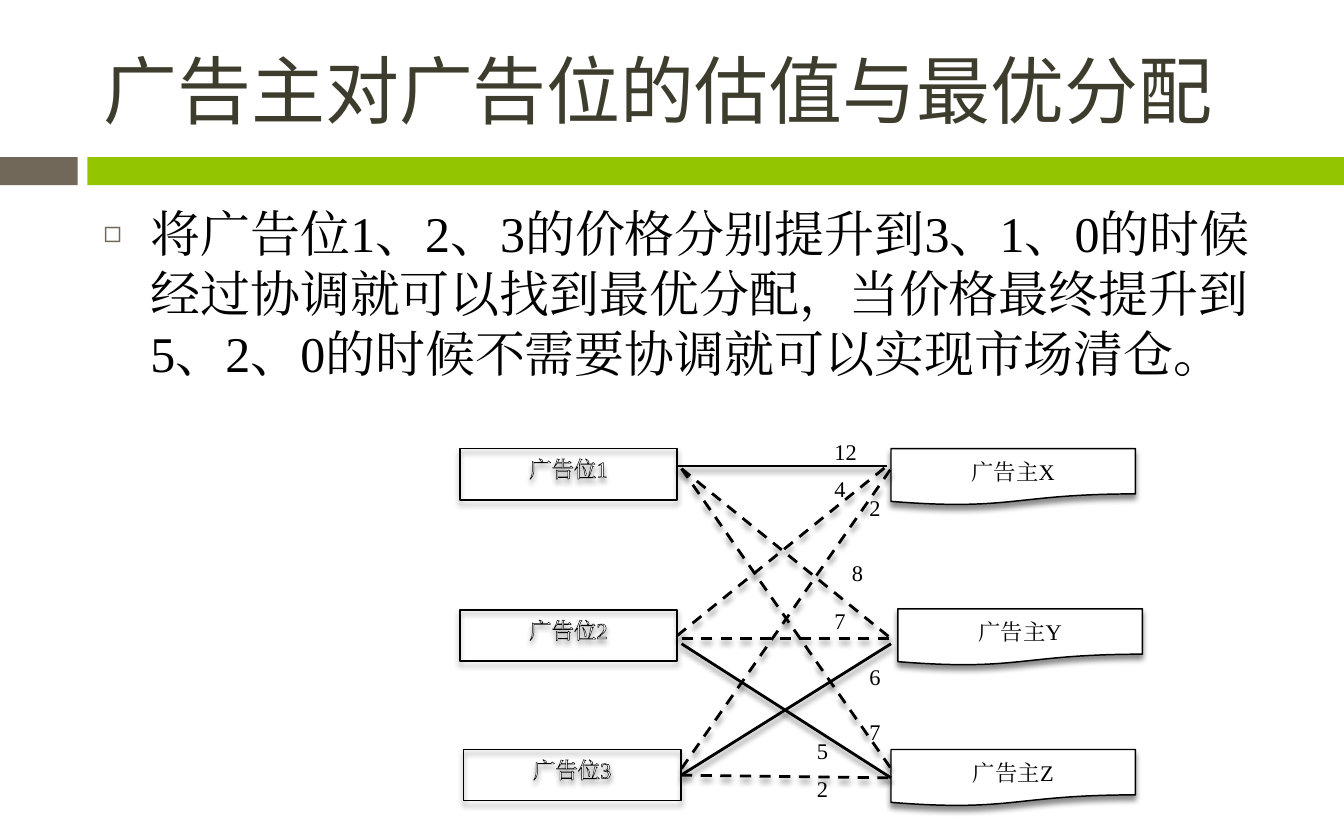
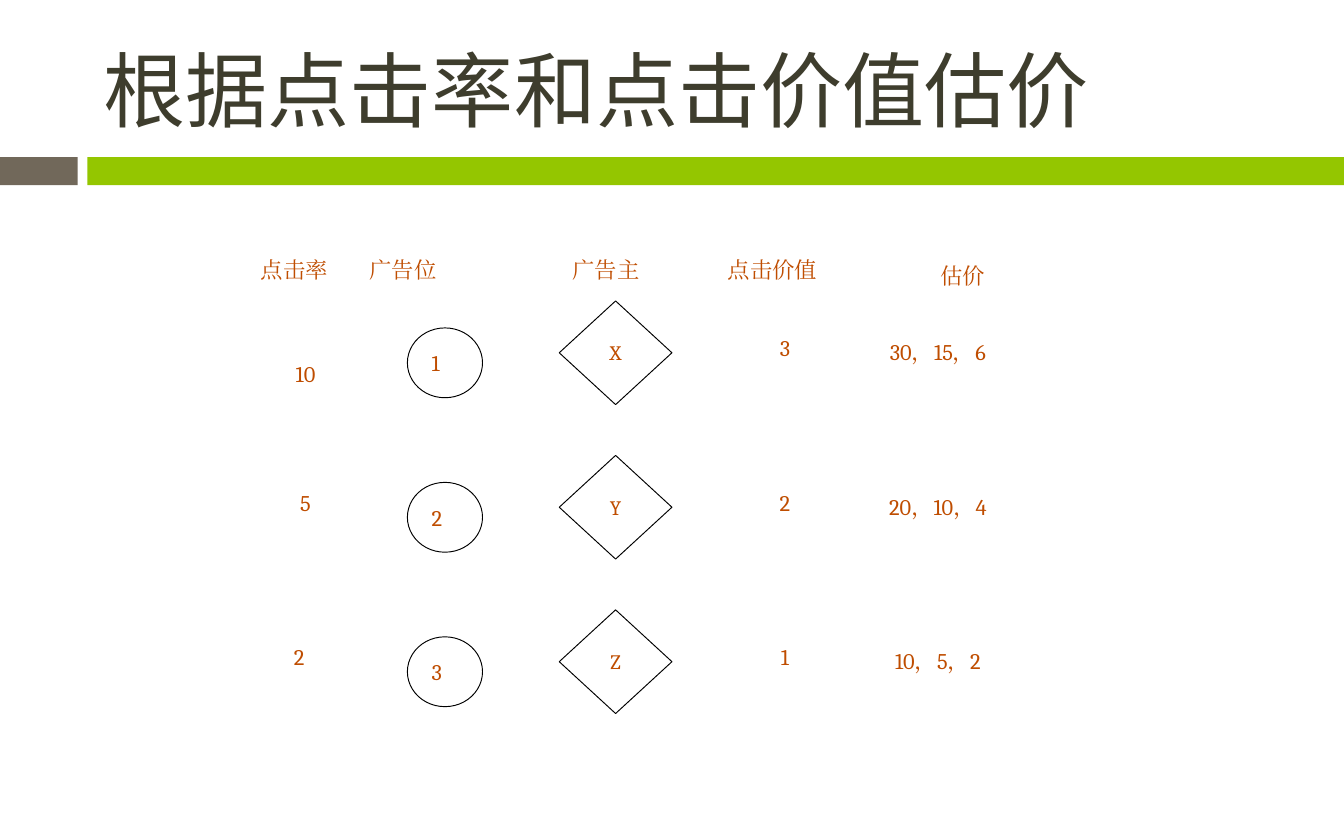
"""Build two slides on valuing and allocating advertising slots."""
from dataclasses import dataclass, replace
from typing import Any, NamedTuple, Optional

from lxml import etree
from pptx import Presentation
from pptx import util as u
from pptx.dml import color as c
from pptx.enum import dml as d
from pptx.enum import shapes as s
from pptx.enum import text as t
from pptx.oxml import ns


@dataclass(frozen=True)
class Theme:
    """Colours, fonts and type sizes of the deck."""
    black: str = "000000"
    white: str = "FFFFFF"
    brown: str = "71685A"
    green: str = "94C600"
    olive: str = "3E3D2D"
    orange: str = "BF4D00"
    title_font: str = "Roboto Condensed"
    body_font: str = "Times New Roman"
    label_font: str = "Cambria"
    long_title_size: float = 39.6
    title_size: float = 44
    body_size: float = 26.8
    label_size: float = 12
    diamond_size: float = 11


THEME = Theme()


class Box(NamedTuple):
    """Left, top, width and height in centimetres."""
    left: float
    top: float
    width: float
    height: float

    def lengths(self) -> list:
        """Return the four values as lengths."""
        return [u.Cm(value) for value in self]


@dataclass(frozen=True)
class TextStyle:
    """Look of one paragraph and its frame."""
    font: str
    size: float
    colour: str
    align: Any = t.PP_ALIGN.CENTER
    anchor: Any = t.MSO_ANCHOR.TOP
    outline: bool = False


@dataclass(frozen=True)
class ShapeStyle:
    """Look of a preset shape."""
    kind: Any
    text: Optional[TextStyle] = None
    fill: Optional[str] = None
    line_width: Optional[float] = None
    shadow: bool = False


class Edge(NamedTuple):
    """Line from a slot to an advertiser, joined where sides meet."""
    start: tuple
    end: tuple
    dashed: bool = True
    slot: Optional[int] = None
    advertiser: Optional[int] = None


class Label(NamedTuple):
    """Text placed in a box."""
    words: str
    box: Box


class Column(NamedTuple):
    """Evenly spaced column of entries, starting at the first box."""
    entries: tuple
    first: Box
    style: ShapeStyle


ROW_PITCH = 2.92
SIDE_LEFT, SIDE_RIGHT = 1, 3
WEIGHT_SIZE = (1.32, 0.71)
LABEL_HEIGHT = 0.97
TITLE_BOX = Box(1.7, 0.53, 22.66, 2.29)
BODY_BOX = Box(1.7, 3.71, 22.66, 3.43)
BODY_INDENT = 0.89

TITLE = TextStyle(THEME.title_font, THEME.title_size, THEME.olive,
                  t.PP_ALIGN.LEFT, t.MSO_ANCHOR.MIDDLE)
BODY = TextStyle(THEME.body_font, THEME.body_size, THEME.black, t.PP_ALIGN.LEFT)
WEIGHT = TextStyle(THEME.body_font, THEME.label_size, THEME.black, t.PP_ALIGN.JUSTIFY)
SLOT = ShapeStyle(
    s.MSO_SHAPE.RECTANGLE,
    TextStyle(THEME.body_font, THEME.label_size, THEME.white, outline=True),
    line_width=0.79, shadow=True)
ADVERTISER = ShapeStyle(
    s.MSO_SHAPE.FLOWCHART_DOCUMENT,
    TextStyle(THEME.body_font, THEME.label_size, THEME.black, anchor=t.MSO_ANCHOR.MIDDLE),
    THEME.white, 0.79, True)
LABEL = TextStyle(THEME.label_font, THEME.label_size, THEME.orange)
JUSTIFIED = replace(LABEL, align=t.PP_ALIGN.JUSTIFY)
PLAIN = ShapeStyle(None, LABEL)
CIRCLE = ShapeStyle(s.MSO_SHAPE.OVAL, replace(JUSTIFIED, anchor=t.MSO_ANCHOR.MIDDLE),
                    THEME.white, 0.5)
DIAMOND = ShapeStyle(
    s.MSO_SHAPE.DIAMOND,
    replace(LABEL, size=THEME.diamond_size, anchor=t.MSO_ANCHOR.MIDDLE), THEME.white, 0.5)

BANDS = ((Box(0, 2.97, 1.47, 0.53), THEME.brown),
         (Box(1.65, 2.97, 23.75, 0.53), THEME.green))
SLOTS = (Label("广告位1", Box(8.69, 8.48, 4.11, 0.97)),
         Label("广告位2", Box(8.69, 11.53, 4.11, 0.97)),
         Label("广告位3", Box(8.76, 14.17, 4.11, 0.97)))
ADVERTISERS = (Label("广告主X", Box(16.84, 8.48, 4.62, 1.07)),
               Label("广告主Y", Box(16.97, 11.51, 4.62, 1.07)),
               Label("广告主Z", Box(16.84, 14.17, 4.62, 1.07)))
EDGES = (
    Edge((12.8, 8.81), (16.76, 8.81), dashed=False),
    Edge((12.88, 14.61), (16.84, 14.61), slot=2, advertiser=2),
    Edge((12.8, 12.01), (16.76, 8.81), slot=1),
    Edge((12.88, 8.86), (16.84, 12.07)),
    Edge((12.88, 14.63), (16.84, 12.17), dashed=False, slot=2),
    Edge((12.88, 12.17), (16.84, 14.63), dashed=False, advertiser=2),
    Edge((12.88, 12.07), (16.84, 12.07)),
    Edge((12.88, 14.53), (16.84, 8.86)),
    Edge((12.88, 8.86), (16.84, 14.53)),
)
WEIGHTS = (("12", 15.52, 8.15), ("4", 15.52, 8.86), ("2", 16.18, 9.22),
           ("8", 15.85, 10.44), ("7", 15.52, 11.35), ("6", 16.18, 12.42),
           ("7", 16.18, 13.46), ("2", 15.19, 14.53), ("5", 15.19, 13.82))

HEADINGS = (
    (Label("点击率", Box(3.89, 4.72, 3.35, LABEL_HEIGHT)), LABEL),
    (Label("广告位", Box(6.73, 4.72, 2.87, LABEL_HEIGHT)), JUSTIFIED),
    (Label("广告主", Box(10.57, 4.72, 2.87, LABEL_HEIGHT)), JUSTIFIED),
    (Label("点击价值", Box(12.9, 4.72, 3.4, LABEL_HEIGHT)), LABEL),
    (Label("估价", Box(16.76, 4.83, 2.87, LABEL_HEIGHT)), LABEL),
)
CLICK_RATES = (Label("10", Box(4.34, 6.68, 2.87, LABEL_HEIGHT)),
               Label("5", Box(4.34, 9.12, 2.87, LABEL_HEIGHT)),
               Label("2", Box(4.7, 12.04, 1.91, LABEL_HEIGHT)))
COLUMNS = (
    Column(("1", "2", "3"), Box(7.7, 6.2, 1.42, 1.32), CIRCLE),
    Column(("X", "Y", "Z"), Box(10.57, 5.69, 2.13, 1.96), DIAMOND),
    Column(("3", "2", "1"), Box(12.93, 6.2, 3.81, LABEL_HEIGHT), PLAIN),
    Column(("30，15，6", "20，10，4", "10，5，2"),
           Box(15.82, 6.27, 3.81, LABEL_HEIGHT), PLAIN),
)


def apply_format(target: Any, values: dict) -> None:
    """Set each attribute named in values."""
    for name, value in values.items():
        setattr(target, name, value)


def add_element(parent: Any, tag: str, **attributes: str) -> Any:
    """Append a drawing element and return it."""
    return etree.SubElement(parent, ns.qn(tag), attributes)


def add_colour(parent: Any, colour: str) -> Any:
    """Append an RGB colour element."""
    return add_element(parent, "a:srgbClr", val=colour)


def set_shadow(shape: Any, visible: bool) -> None:
    """Replace the inherited shadow by a soft one or by none."""
    effects = add_element(shape.element.spPr, "a:effectLst")
    if visible:
        shadow = add_element(effects, "a:outerShdw", blurRad=str(u.Pt(3)), dist=str(u.Pt(2.4)),
                             dir="5400000", algn="ctr", rotWithShape="0")
        add_element(add_colour(shadow, THEME.black), "a:alpha", val="45000")


def write_text(shape: Any, words: str, style: TextStyle) -> Any:
    """Write one styled paragraph and return it."""
    frame = shape.text_frame
    apply_format(frame, {"word_wrap": True, "auto_size": t.MSO_AUTO_SIZE.NONE,
                         "vertical_anchor": style.anchor})
    paragraph = frame.paragraphs[0]
    paragraph.alignment = style.align
    run = paragraph.add_run()
    run.text = words
    apply_format(run.font, {"name": style.font, "size": u.Pt(style.size)})
    run.font.color.rgb = c.RGBColor.from_string(style.colour)
    properties = run.font._element
    add_element(properties, "a:ea", typeface=style.font)
    if style.outline:
        outline = etree.Element(ns.qn("a:ln"), w=str(u.Pt(0.75)))
        add_colour(add_element(outline, "a:solidFill"), THEME.black)
        properties.insert(0, outline)
    return paragraph


def draw_label(slide: Any, label: Label, style: TextStyle) -> None:
    """Draw a text box."""
    write_text(slide.shapes.add_textbox(*label.box.lengths()), label.words, style)


def draw_shape(slide: Any, label: Label, style: ShapeStyle) -> Any:
    """Draw a preset shape with its text."""
    shape = slide.shapes.add_shape(style.kind, *label.box.lengths())
    if style.fill:
        shape.fill.solid()
        shape.fill.fore_color.rgb = c.RGBColor.from_string(style.fill)
    else:
        shape.fill.background()
    if style.line_width:
        shape.line.color.rgb = c.RGBColor.from_string(THEME.black)
        shape.line.width = u.Pt(style.line_width)
    else:
        shape.line.fill.background()
    set_shadow(shape, style.shadow)
    if style.text:
        write_text(shape, label.words, style.text)
    return shape


def draw_edge(slide: Any, edge: Edge, slots: list, advertisers: list) -> None:
    """Draw one line of the allocation graph."""
    points = [u.Cm(value) for value in edge.start + edge.end]
    connector = slide.shapes.add_connector(s.MSO_CONNECTOR.STRAIGHT, *points)
    if edge.slot is not None:
        connector.begin_connect(slots[edge.slot], SIDE_RIGHT)
    if edge.advertiser is not None:
        connector.end_connect(advertisers[edge.advertiser], SIDE_LEFT)
    connector.line.color.rgb = c.RGBColor.from_string(THEME.black)
    connector.line.width = u.Pt(1.5)
    if edge.dashed:
        connector.line.dash_style = d.MSO_LINE.DASH
    set_shadow(connector, True)


def fill_placeholder(shape: Any, box: Box, words: str, style: TextStyle) -> Any:
    """Move a placeholder, write its text and return the paragraph."""
    apply_format(shape, dict(zip(("left", "top", "width", "height"), box.lengths())))
    return write_text(shape, words, style)


def draw_bands(presentation: Any, slide: Any) -> None:
    """Put the title bands on the slide master."""
    for box, colour in BANDS:
        band = draw_shape(slide, Label("", box), ShapeStyle(s.MSO_SHAPE.RECTANGLE, fill=colour))
        presentation.slide_master.shapes.element.append(band.element)


def build_allocation(slide: Any) -> None:
    """Build the slide on valuations and optimal allocation."""
    fill_placeholder(slide.shapes.title, TITLE_BOX, "广告主对广告位的估值与最优分配",
                     replace(TITLE, size=THEME.long_title_size))
    paragraph = fill_placeholder(
        slide.placeholders[1], BODY_BOX,
        "将广告位1、2、3的价格分别提升到3、1、0的时候经过协调就可以找到最优分配，"
        "当价格最终提升到5、2、0的时候不需要协调就可以实现市场清仓。", BODY)
    paragraph.space_before = u.Pt(7)
    properties = paragraph._p.get_or_add_pPr()
    properties.set("marL", str(u.Cm(BODY_INDENT)))
    properties.set("indent", str(-u.Cm(BODY_INDENT)))
    add_colour(add_element(properties, "a:buClr"), THEME.brown)
    add_element(properties, "a:buSzPct", val="60000")
    add_element(properties, "a:buChar", char="◻")
    slots = [draw_shape(slide, label, SLOT) for label in SLOTS]
    advertisers = [draw_shape(slide, label, ADVERTISER) for label in ADVERTISERS]
    for edge in EDGES:
        draw_edge(slide, edge, slots, advertisers)
    for words, left, top in WEIGHTS:
        draw_label(slide, Label(words, Box(left, top, *WEIGHT_SIZE)), WEIGHT)


def build_valuation(slide: Any) -> None:
    """Build the slide on click rates and click values."""
    fill_placeholder(slide.shapes.title, TITLE_BOX, "根据点击率和点击价值估价", TITLE)
    for label, style in HEADINGS:
        draw_label(slide, label, style)
    for label in CLICK_RATES:
        draw_label(slide, label, LABEL)
    for column in COLUMNS:
        for row, words in enumerate(column.entries):
            label = Label(words, column.first._replace(top=column.first.top + row * ROW_PITCH))
            if column.style.kind is None:
                draw_label(slide, label, column.style.text)
            else:
                draw_shape(slide, label, column.style)


def main() -> None:
    """Build and save the deck."""
    presentation = Presentation()
    apply_format(presentation, {"slide_width": u.Cm(25.4), "slide_height": u.Cm(15.88)})
    layouts = presentation.slide_layouts
    allocation = presentation.slides.add_slide(layouts[1])
    draw_bands(presentation, allocation)
    build_allocation(allocation)
    build_valuation(presentation.slides.add_slide(layouts[5]))
    presentation.save("out.pptx")


if __name__ == "__main__":
    main()
